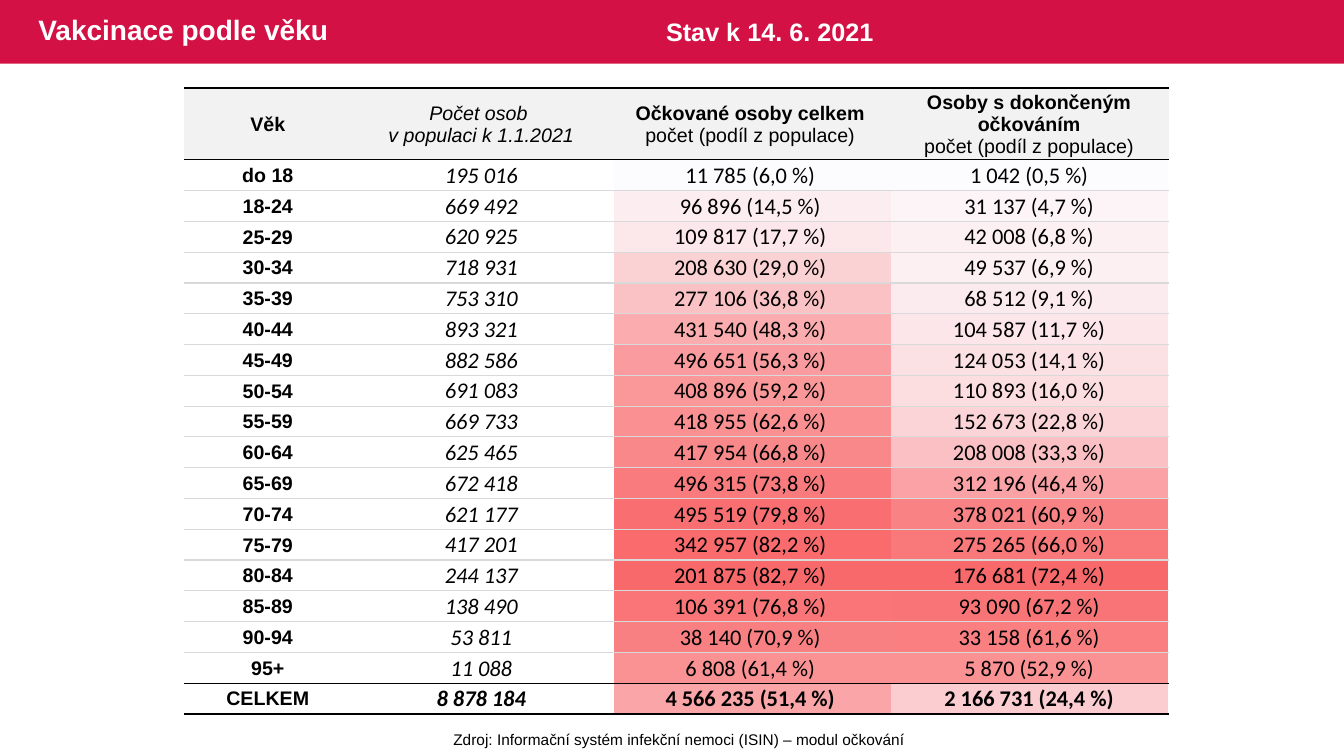
from dataclasses import dataclass

from pptx import Presentation
from pptx.dml.color import RGBColor
from pptx.enum.shapes import MSO_SHAPE as Shape
from pptx.enum.text import MSO_ANCHOR as Anchor, PP_ALIGN as Align
from pptx.oxml.ns import qn
from pptx.util import Pt
from lxml.etree import SubElement

# Content
TITLE = "Vakcinace podle věku"
STATUS = "Stav k 14. 6. 2021"
SOURCE = "Zdroj: Informační systém infekční nemoci (ISIN) – modul očkování"

# One header cell per column, one (text, style) pair per paragraph
HEADER = [
    [("Věk", "b")],
    [("Počet osob ", "i"), ("v populaci k 1.1.2021", "i")],
    [("Očkované osoby celkem", "b"), ("počet (podíl z populace)", "")],
    [("Osoby s dokončeným očkováním", "b"), ("počet (podíl z populace)", "")],
]

# Age, population, vaccinated, fully vaccinated, shades of the last two
ROWS = [
    ("do 18", "195 016", "11 785 (6,0 %)", "1 042 (0,5 %)", "FCFCFF", "FCFCFF"),
    ("18-24", "669 492", "96 896 (14,5 %)", "31 137 (4,7 %)", "FCEDF0", "FCF4F7"),
    ("25-29", "620 925", "109 817 (17,7 %)", "42 008 (6,8 %)", "FCE7EA", "FCF0F3"),
    ("30-34", "718 931", "208 630 (29,0 %)", "49 537 (6,9 %)", "FBD2D4", "FCF0F3"),
    ("35-39", "753 310", "277 106 (36,8 %)", "68 512 (9,1 %)", "FBC2C5", "FCEBEE"),
    ("40-44", "893 321", "431 540 (48,3 %)", "104 587 (11,7 %)", "FAACAE", "FCE6E9"),
    ("45-49", "882 586", "496 651 (56,3 %)", "124 053 (14,1 %)", "FA9C9F", "FCE1E4"),
    ("50-54", "691 083", "408 896 (59,2 %)", "110 893 (16,0 %)", "FA9799", "FCDDE0"),
    ("55-59", "669 733", "418 955 (62,6 %)", "152 673 (22,8 %)", "FA9092", "FBD4D7"),
    ("60-64", "625 465", "417 954 (66,8 %)", "208 008 (33,3 %)", "F9888A", "FBC0C3"),
    ("65-69", "672 418", "496 315 (73,8 %)", "312 196 (46,4 %)", "F97B7D", "FAA2A5"),
    ("70-74", "621 177", "495 519 (79,8 %)", "378 021 (60,9 %)", "F96F71", "F98285"),
    ("75-79", "417 201", "342 957 (82,2 %)", "275 265 (66,0 %)", "F96B6D", "F9787A"),
    ("80-84", "244 137", "201 875 (82,7 %)", "176 681 (72,4 %)", "F8696B", "F8696B"),
    ("85-89", "138 490", "106 391 (76,8 %)", "93 090 (67,2 %)", "F97577", "F97476"),
    ("90-94", "53 811", "38 140 (70,9 %)", "33 158 (61,6 %)", "F98082", "F97F81"),
    ("95+", "11 088", "6 808 (61,4 %)", "5 870 (52,9 %)", "FA9294", "FA9193"),
    ("CELKEM", "8 878 184", "4 566 235 (51,4 %)", "2 166 731 (24,4 %)", "FAA6A8", "FBCDD0"),
]


@dataclass(frozen=True)
class Theme:
    band: str = "D31145"
    white: str = "FFFFFF"
    ink: str = "000000"
    rule: str = "D9D9D9"
    header: str = "F2F2F2"
    label_font: str = "Arial"
    figure_font: str = "Calibri"
    title_size: int = 20
    status_size: int = 18
    label_size: int = 14
    figure_size: int = 16
    source_size: int = 11


THEME = Theme()

# Layout in points
PAGE_WIDTH, PAGE_HEIGHT = 960, 540
BAND_HEIGHT = 45.5
TABLE_LEFT, TABLE_TOP = 131.3, 62.9
COLUMN_WIDTHS = [120, 185, 199.2, 199.2]
SHADE_LEFT, SHADE_WIDTHS = 438.5, [198, 198]
HEADER_HEIGHT, ROW_HEIGHT = 51, 22


def style_text(para, font_name, size, color, style=""):
    for span in para.runs:
        span.font.name = font_name
        span.font.size = Pt(size)
        span.font.color.rgb = RGBColor.from_string(color)
        span.font.bold = "b" in style
        span.font.italic = "i" in style


def add_text(page, text, left, top, width, height, size, color, style="", wrap=True):
    box = page.shapes.add_textbox(Pt(left), Pt(top), Pt(width), Pt(height))
    box.text_frame.word_wrap = wrap
    box.text_frame.text = text
    style_text(box.text_frame.paragraphs[0], THEME.label_font, size, color, style)
    return box.text_frame


def add_grid(page, left, top, widths, heights):
    table = page.shapes.add_table(len(heights), len(widths), Pt(left), Pt(top),
                                  Pt(sum(widths)), Pt(sum(heights))).table
    table.first_row = table.horz_banding = False
    for column, width in zip(table.columns, widths):
        column.width = Pt(width)
    for row, height in zip(table.rows, heights):
        row.height = Pt(height)
    return table


def format_cell(cell, shade=None, top=None, bottom=None):
    props = cell._tc.get_or_add_tcPr()
    for side, color in (("L", None), ("R", None), ("T", top), ("B", bottom)):
        line = SubElement(props, qn(f"a:ln{side}"), w=str(Pt(1)))
        if color:
            fill = SubElement(line, qn("a:solidFill"))
            SubElement(fill, qn("a:srgbClr"), val=color)
        else:
            SubElement(line, qn("a:noFill"))
    if shade:
        cell.fill.solid()
        cell.fill.fore_color.rgb = RGBColor.from_string(shade)
    else:
        cell.fill.background()
    cell.vertical_anchor = Anchor.MIDDLE
    cell.margin_left = cell.margin_right = cell.margin_top = Pt(0.75)
    cell.margin_bottom = 0


def write_cell(cell, lines, font_name, size):
    cell.text_frame.text = "\n".join(text for text, _ in lines)
    for para, (_, style) in zip(cell.text_frame.paragraphs, lines):
        para.alignment = Align.CENTER
        style_text(para, font_name, size, THEME.ink, style)


def add_shade_table(page):
    table = add_grid(page, SHADE_LEFT, TABLE_TOP + HEADER_HEIGHT, SHADE_WIDTHS,
                     [ROW_HEIGHT] * len(ROWS))
    for index, (*_, vaccinated_shade, completed_shade) in enumerate(ROWS):
        for column, shade in enumerate((vaccinated_shade, completed_shade)):
            cell = table.cell(index, column)
            format_cell(cell, shade)
            # Small type keeps the empty cell at its row height
            SubElement(cell.text_frame.paragraphs[0]._p, qn("a:endParaRPr"),
                       sz=str(THEME.source_size * 100))


def add_age_table(page):
    table = add_grid(page, TABLE_LEFT, TABLE_TOP, COLUMN_WIDTHS,
                     [HEADER_HEIGHT] + [ROW_HEIGHT] * len(ROWS))

    # Header row
    for column, lines in enumerate(HEADER):
        cell = table.cell(0, column)
        format_cell(cell, THEME.header, THEME.ink, THEME.ink)
        write_cell(cell, lines, THEME.label_font, THEME.label_size)

    # Age rows; dark rules enclose the header and the total
    total = len(ROWS)
    for index, (*texts, _, _) in enumerate(ROWS, 1):
        top = THEME.ink if index in (1, total) else THEME.rule
        bottom = THEME.ink if index >= total - 1 else THEME.rule
        styles = ("b", "bi", "b", "b") if index == total else ("b", "i", "", "")
        for column, line in enumerate(zip(texts, styles)):
            font_name, size = ((THEME.figure_font, THEME.figure_size) if column
                               else (THEME.label_font, THEME.label_size))
            cell = table.cell(index, column)
            format_cell(cell, None, top, bottom)
            write_cell(cell, [line], font_name, size)


def main():
    deck = Presentation()
    deck.slide_width, deck.slide_height = Pt(PAGE_WIDTH), Pt(PAGE_HEIGHT)
    page = deck.slides.add_slide(deck.slide_layouts[6])

    # Title band
    band = page.shapes.add_shape(Shape.RECTANGLE, 0, 0, Pt(PAGE_WIDTH), Pt(BAND_HEIGHT))
    band.shadow.inherit = False
    band.fill.solid()
    band.fill.fore_color.rgb = RGBColor.from_string(THEME.band)
    band.line.fill.background()

    # Colour scale behind the figures
    add_shade_table(page)

    # Title and status
    title = add_text(page, TITLE, 20.3, 0, 585, BAND_HEIGHT,
                     THEME.title_size, THEME.white, "b")
    title.vertical_anchor = Anchor.MIDDLE
    title.paragraphs[0].line_spacing = 0.9
    add_text(page, STATUS, 468.7, 8, 213, 29, THEME.status_size, THEME.white, "b")

    # Source line
    source = add_text(page, SOURCE, 316, 517.7, 338.4, 20.6,
                      THEME.source_size, THEME.ink, wrap=False)
    source.paragraphs[0].alignment = Align.CENTER

    add_age_table(page)
    deck.save("out.pptx")


if __name__ == "__main__":
    main()
